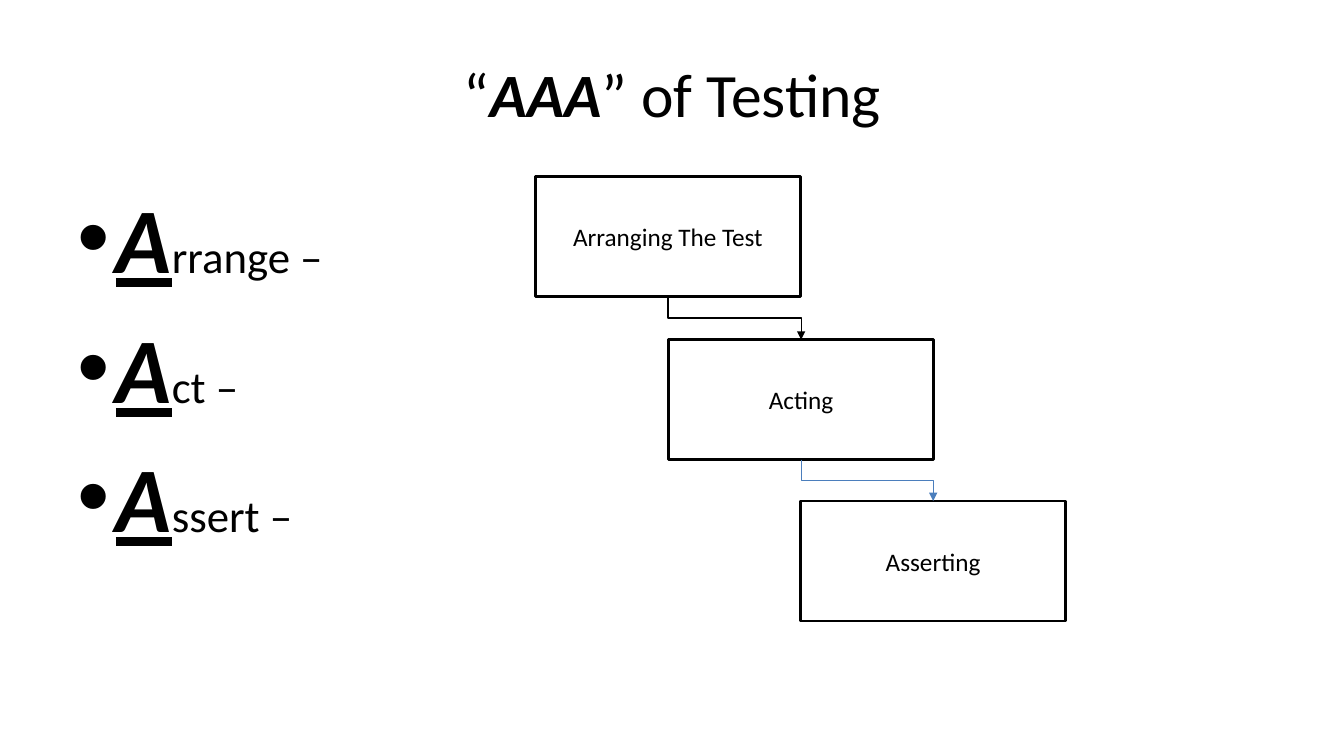
import dataclasses
from typing import Any

import pptx
import pptx.dml.color
import pptx.enum.dml
import pptx.enum.shapes
import pptx.enum.text
import pptx.oxml.ns
import pptx.util
from lxml import etree

Inches = pptx.util.Inches
COLORS = {"ink": "000000", "paper": "FFFFFF", "blue": "4B7EBC"}
FONT = "Calibri"
STEP_WIDTH, STEP_HEIGHT = 2.63, 1.19
BULLET_INDENT = 0.38


@dataclasses.dataclass(frozen=True)
class Step:
    label: str
    left: float
    top: float


@dataclasses.dataclass(frozen=True)
class Link:
    source: Step
    target: Step
    color: str


STEPS = [
    Step("Arranging The Test", 5.31, 1.75),
    Step("Acting", 6.63, 3.37),
    Step("Asserting", 7.94, 4.97),
]
LINKS = [Link(STEPS[0], STEPS[1], "ink"), Link(STEPS[1], STEPS[2], "blue")]
PRACTICES = ["rrange –", "ct –", "ssert –"]


def rgb(name: str) -> pptx.dml.color.RGBColor:
    return pptx.dml.color.RGBColor.from_string(COLORS[name])


def add_xml(parent: Any, tag: str, **attributes: str) -> Any:
    return etree.SubElement(parent, pptx.oxml.ns.qn(tag), attributes)


def add_text(paragraph: Any, text: str, *, size: float, bold: bool = False,
             italic: bool = False, underline: bool = False) -> None:
    run = paragraph.add_run()
    run.text = text
    font = run.font
    font.name, font.size = FONT, pptx.util.Pt(size)
    font.bold, font.italic, font.underline = bold, italic, underline
    font.color.rgb = rgb("ink")


def add_text_frame(slide: Any, top: float, height: float) -> Any:
    box = slide.shapes.add_textbox(Inches(0.67), Inches(top), Inches(12), Inches(height))
    box.text_frame.word_wrap = True
    return box.text_frame


def add_title(slide: Any) -> None:
    frame = add_text_frame(slide, 0.3, 1.25)
    frame.vertical_anchor = pptx.enum.text.MSO_ANCHOR.MIDDLE
    heading = frame.paragraphs[0]
    heading.alignment = pptx.enum.text.PP_ALIGN.CENTER
    add_text(heading, "“", size=44)
    add_text(heading, "AAA", size=44, bold=True, italic=True)
    add_text(heading, "” of Testing", size=44)


def add_practices(slide: Any) -> None:
    frame = add_text_frame(slide, 1.75, 4.95)
    for index, ending in enumerate(PRACTICES):
        practice = frame.add_paragraph() if index else frame.paragraphs[0]
        properties = practice._p.get_or_add_pPr()
        properties.set("marL", str(Inches(BULLET_INDENT)))
        properties.set("indent", str(-Inches(BULLET_INDENT)))
        add_xml(add_xml(properties, "a:spcBef"), "a:spcPct", val="20000")
        add_xml(properties, "a:buFont", typeface="Arial")
        add_xml(properties, "a:buChar", char="•")
        add_text(practice, "A", size=66, bold=True, italic=True, underline=True)
        add_text(practice, ending, size=32)


def add_step(slide: Any, step: Step) -> None:
    box = slide.shapes.add_shape(
        pptx.enum.shapes.MSO_SHAPE.RECTANGLE, Inches(step.left), Inches(step.top),
        Inches(STEP_WIDTH), Inches(STEP_HEIGHT))
    box.shadow.inherit = False
    box.fill.solid()
    box.fill.fore_color.rgb = rgb("paper")
    box.line.color.rgb = rgb("ink")
    box.line.width = pptx.util.Pt(2)
    box.text_frame.word_wrap = True
    box.text_frame.vertical_anchor = pptx.enum.text.MSO_ANCHOR.MIDDLE
    label = box.text_frame.paragraphs[0]
    label.alignment = pptx.enum.text.PP_ALIGN.CENTER
    add_text(label, step.label, size=18)


def add_link(slide: Any, link: Link) -> None:
    """Draw an elbow arrow that leaves downward and enters from above."""
    start_x = link.source.left + STEP_WIDTH / 2
    end_x = link.target.left + STEP_WIDTH / 2
    start_y, end_y = link.source.top + STEP_HEIGHT, link.target.top
    center_x, center_y = (start_x + end_x) / 2, (start_y + end_y) / 2
    # A quarter turn swaps the drop and the run; the swapped ends also flip it.
    half_drop, half_run = (end_y - start_y) / 2, (end_x - start_x) / 2
    arrow = slide.shapes.add_connector(
        pptx.enum.shapes.MSO_CONNECTOR.ELBOW,
        Inches(center_x + half_drop), Inches(center_y - half_run),
        Inches(center_x - half_drop), Inches(center_y + half_run))
    properties = arrow._element.spPr
    properties.find(pptx.oxml.ns.qn("a:xfrm")).set("rot", str(270 * 60000))
    arrow.line.color.rgb = rgb(link.color)
    arrow.line.width = pptx.util.Pt(0.75)
    add_xml(arrow.line._get_or_add_ln(), "a:tailEnd", type="triangle")
    add_xml(properties, "a:effectLst")


def main() -> None:
    presentation = pptx.Presentation()
    presentation.slide_width = Inches(13.33)
    presentation.slide_height = Inches(7.5)
    slide = presentation.slides.add_slide(presentation.slide_layouts[6])
    add_title(slide)
    add_practices(slide)
    for step in STEPS:
        add_step(slide, step)
    for link in LINKS:
        add_link(slide, link)
    presentation.save("out.pptx")


if __name__ == "__main__":
    main()
